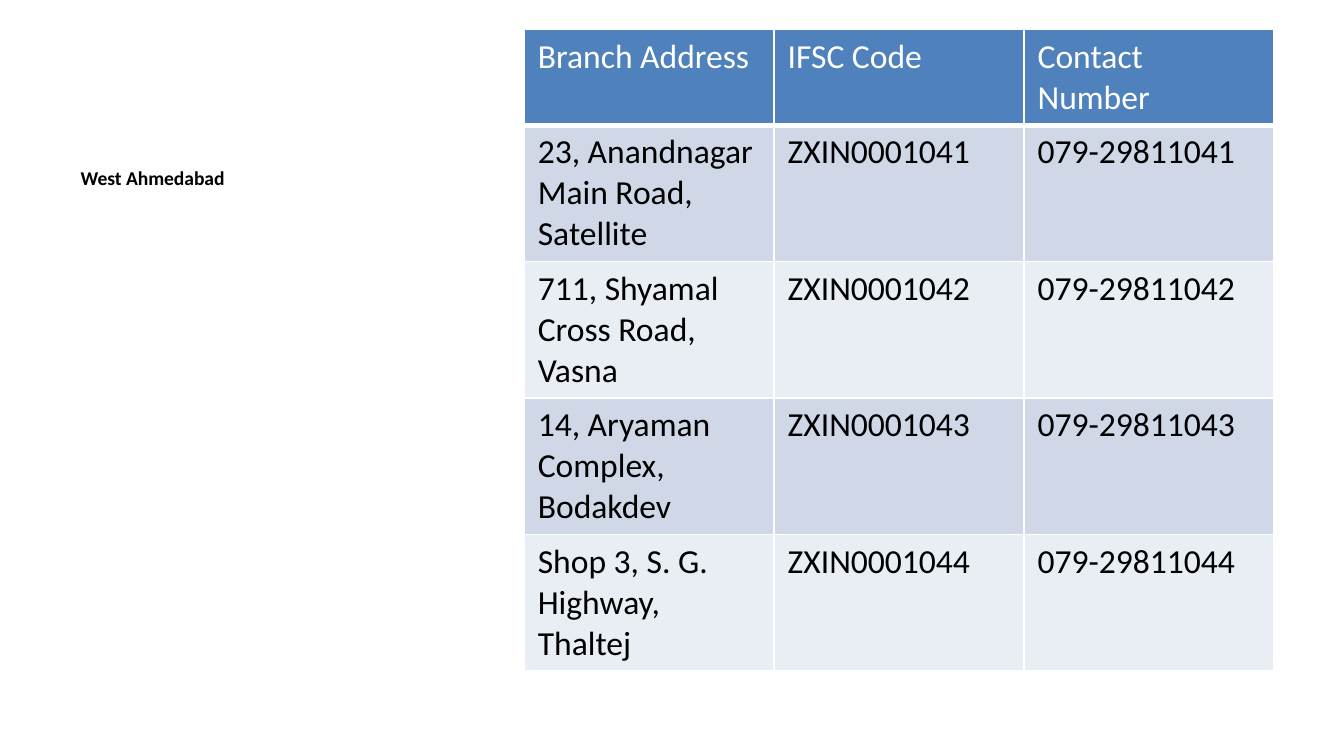
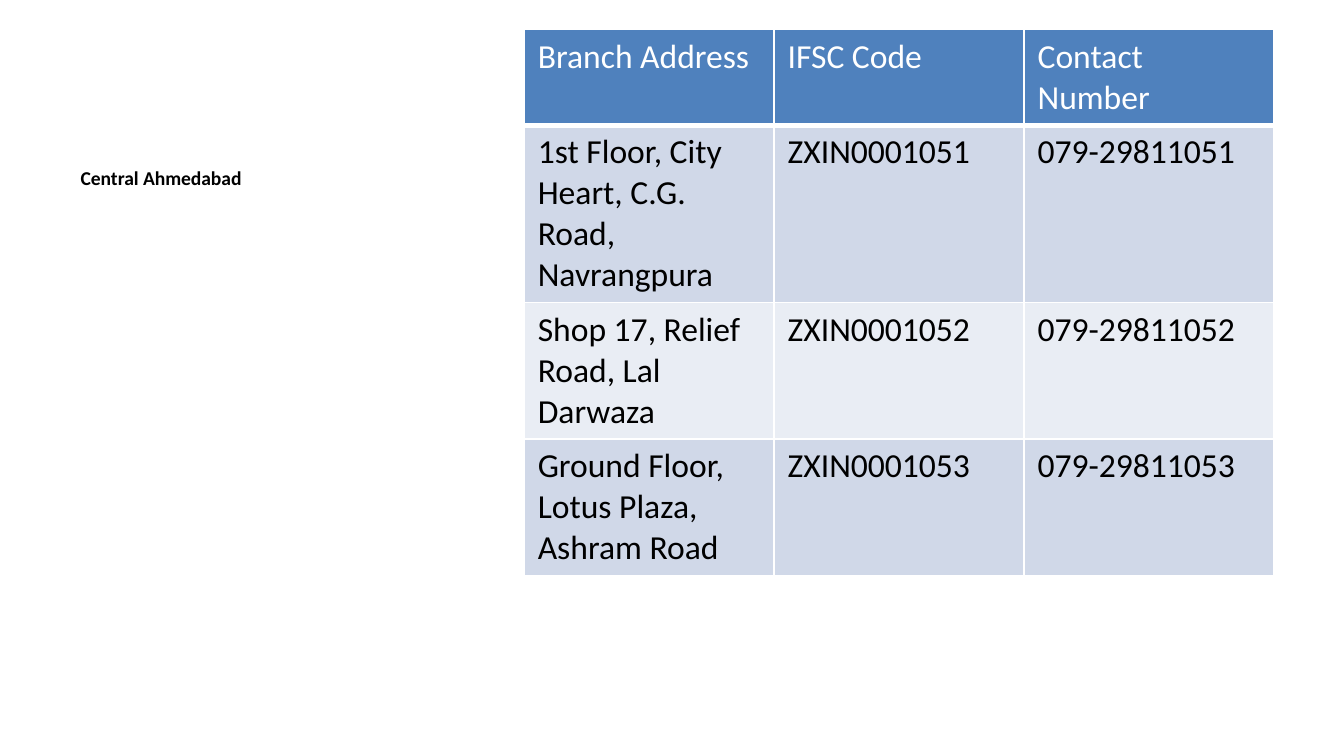
from lxml.etree import SubElement
from pptx import Presentation
from pptx.dml.color import RGBColor
from pptx.oxml.ns import qn
from pptx.util import Cm, Pt

WHITE, BLACK, BLUE = "FFFFFF", "000000", "4F81BD"
BANDS = ("D0D8E8", "E9EDF4")
FONT = "Calibri"
LABEL_FORMAT = {"name": FONT, "size": Pt(10.5), "bold": True}
CELL_FORMAT = {"name": FONT, "size": Pt(18), "bold": False}

REGION_BOX = (1.27, 3.0, 8.36, 9.78)
TABLE_BOX = (9.91, 0.56, 14.17)
LINE_HEIGHT, CELL_PADDING = 0.77, 0.25
HEADER = ("Branch Address", "IFSC Code", "Contact Number")
HEADER_LINES = 2

# Each branch: address, last digits of its code and phone, lines the address takes
REGIONS = {
    "West Ahmedabad": [
        ("23, Anandnagar Main Road, Satellite", 1041, 3),
        ("711, Shyamal Cross Road, Vasna", 1042, 3),
        ("14, Aryaman Complex, Bodakdev", 1043, 3),
        ("Shop 3, S. G. Highway, Thaltej", 1044, 2),
    ],
    "Central Ahmedabad": [
        ("1st Floor, City Heart, C.G. Road, Navrangpura", 1051, 4),
        ("Shop 17, Relief Road, Lal Darwaza", 1052, 3),
        ("Ground Floor, Lotus Plaza, Ashram Road", 1053, 3),
    ],
}


def rgb(color):
    return RGBColor.from_string(color)


def format_font(font, values, color):
    for name, value in values.items():
        setattr(font, name, value)
    font.color.rgb = rgb(color)


def add_borders(cell, bottom):
    """Draw white cell borders, 1 pt except for the given bottom width."""
    tcPr = cell._tc.get_or_add_tcPr()
    for side, width in (("L", 1), ("R", 1), ("T", 1), ("B", bottom)):
        ln = SubElement(tcPr, qn(f"a:ln{side}"), w=str(Pt(width)))
        fill = SubElement(ln, qn("a:solidFill"))
        SubElement(fill, qn("a:srgbClr"), val=WHITE)


def format_cell(cell, text, fill, color, bottom=1):
    add_borders(cell, bottom)
    cell.fill.solid()
    cell.fill.fore_color.rgb = rgb(fill)
    p = cell.text_frame.paragraphs[0]
    r = p.add_run()
    r.text = text
    format_font(r.font, CELL_FORMAT, color)


def add_region_label(slide, text, box):
    """Put the region name in the caption placeholder and drop the unused ones."""
    body = slide.placeholders[2]
    for sp in list(slide.placeholders):
        if sp.placeholder_format.idx != 2:
            sp.element.getparent().remove(sp.element)
    body.left, body.top, body.width, body.height = map(Cm, box)
    p = body.text_frame.paragraphs[0]
    p.space_before = Pt(0)
    r = p.add_run()
    r.text = text
    format_font(r.font, LABEL_FORMAT, BLACK)


def add_branch_table(slide, branches, box):
    left, top, width = map(Cm, box)
    rows = [HEADER] + [(address, f"ZXIN000{number}", f"079-2981{number}")
                       for address, number, _ in branches]
    line_counts = [HEADER_LINES] + [lines for _, _, lines in branches]
    heights = [Cm(CELL_PADDING + LINE_HEIGHT * n) for n in line_counts]
    table = slide.shapes.add_table(len(rows), len(HEADER), left, top,
                                   width, sum(heights)).table
    for i, (texts, height) in enumerate(zip(rows, heights)):
        table.rows[i].height = height
        for j, text in enumerate(texts):
            if i == 0:
                format_cell(table.cell(i, j), text, BLUE, WHITE, bottom=3)
            else:
                format_cell(table.cell(i, j), text, BANDS[(i - 1) % 2], BLACK)


def add_region_slide(prs, region, branches):
    slide = prs.slides.add_slide(prs.slide_layouts.get_by_name("Content with Caption"))
    add_region_label(slide, region, REGION_BOX)
    add_branch_table(slide, branches, TABLE_BOX)


def main():
    prs = Presentation()
    prs.slide_width, prs.slide_height = Cm(25.4), Cm(14.29)
    for region, branches in REGIONS.items():
        add_region_slide(prs, region, branches)
    prs.save("out.pptx")


if __name__ == "__main__":
    main()
